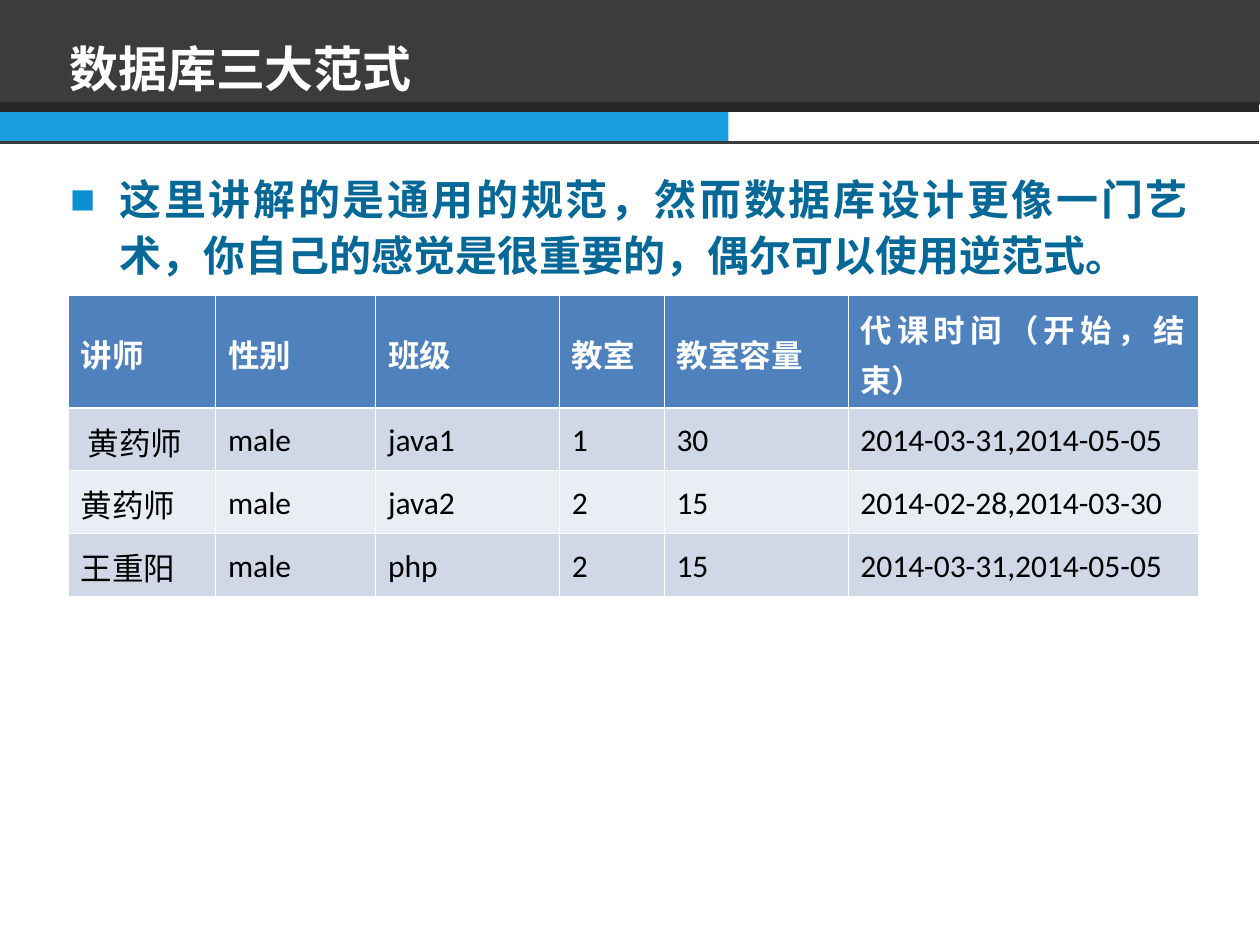
"""Build the slide on the three database normal forms."""
from lxml import etree
from pptx import Presentation
from pptx import util as u
from pptx.dml.color import RGBColor
from pptx.enum import shapes, text
from pptx.oxml import ns

WHITE = RGBColor(0xFF, 0xFF, 0xFF)
BLACK = RGBColor(0x00, 0x00, 0x00)
CHARCOAL = RGBColor(0x3C, 0x3C, 0x3C)
DARK = RGBColor(0x26, 0x26, 0x26)
BLUE = RGBColor(0x19, 0x9E, 0xE1)
BULLET = RGBColor(0x08, 0x90, 0xD0)
TEAL = RGBColor(0x05, 0x68, 0x96)
HEADER = RGBColor(0x4F, 0x81, 0xBD)
BANDS = (RGBColor(0xD0, 0xD8, 0xE8), RGBColor(0xE9, 0xED, 0xF4))
CJK = "Noto Sans CJK SC"
LATIN = "Calibri"
THIN, THICK = 0.45, 1.47

COLUMNS = (1.17, 1.27, 1.46, 0.83, 1.46, 2.78)
HEIGHTS = (0.76, 0.43, 0.43, 0.43)
ROWS = (
    ("讲师", "性别", "班级", "教室", "教室容量", "代课时间（开始，结束）"),
    (" 黄药师", "male", "java1", "1", "30", "2014-03-31,2014-05-05"),
    ("黄药师", "male", "java2", "2", "15", "2014-02-28,2014-03-30"),
    ("王重阳", "male", "php", "2", "15", "2014-03-31,2014-05-05"),
)


def child(parent, tag, **attrs):
    return etree.SubElement(parent, ns.qn(tag), attrs)


def inches(*lengths):
    return [u.Inches(length) for length in lengths]


def set_font(p, size, color, bold, latin=CJK):
    font = p.font
    font.size, font.bold, font.name = u.Pt(size), bold, latin
    font.color.rgb = color
    properties = p._p.pPr.find(ns.qn("a:defRPr"))
    properties.find(ns.qn("a:latin")).addnext(
        properties.makeelement(ns.qn("a:ea"), {"typeface": CJK}))


def set_spacing(p, align, line, before):
    p.alignment, p.line_spacing, p.space_before = align, line, u.Pt(before)
    p._p.pPr.set("hangingPunct", "0")


def add_bar(s, box, color):
    sp = s.shapes.add_shape(shapes.MSO_SHAPE.RECTANGLE, *inches(*box))
    sp.shadow.inherit = False
    sp.fill.solid()
    sp.fill.fore_color.rgb = color
    sp.line.fill.background()


def add_rule(s, y, color, width):
    line = s.shapes.add_connector(
        shapes.MSO_CONNECTOR.STRAIGHT, *inches(-0.01, y, 9.99, y))
    line.line.color.rgb, line.line.width = color, u.Pt(width)
    child(line._element.spPr, "a:effectLst")


def fill_placeholder(s, sp, box, content, anchor):
    sp.left, sp.top, sp.width, sp.height = inches(*box)
    s.shapes.element.append(sp.element)
    tf = sp.text_frame
    tf.text = content
    tf.word_wrap, tf.auto_size = True, text.MSO_AUTO_SIZE.NONE
    tf.vertical_anchor = anchor
    return tf.paragraphs[0]


def add_title(s, content):
    p = fill_placeholder(s, s.shapes.title, (0.45, 0.05, 9.07, 0.78),
                         content, text.MSO_ANCHOR.BOTTOM)
    set_spacing(p, text.PP_ALIGN.LEFT, 0.9, 0)
    set_font(p, 28, WHITE, True)


def add_bullet(s, content):
    p = fill_placeholder(s, s.placeholders[1], (0.46, 1.29, 9.07, 5.86),
                         content, text.MSO_ANCHOR.TOP)
    set_spacing(p, text.PP_ALIGN.JUSTIFY, 1.1, 6)
    properties = p._p.pPr
    indent = u.Inches(0.39)
    properties.set("marL", str(indent))
    properties.set("indent", str(-indent))
    child(child(properties, "a:buClr"), "a:srgbClr", val=str(BULLET))
    child(properties, "a:buSzPct", val="60000")
    child(properties, "a:buFont", typeface=CJK)
    child(properties, "a:buChar", char="■")
    set_font(p, 24, TEAL, True)


def set_borders(cell, row):
    widths = {"L": THIN, "R": THIN,
              "T": THICK if row == 1 else THIN,
              "B": THICK if row == 0 else THIN}
    properties = cell._tc.get_or_add_tcPr()
    for side, width in widths.items():
        line = child(properties, f"a:ln{side}", w=str(u.Pt(width)))
        child(child(line, "a:solidFill"), "a:srgbClr", val=str(WHITE))


def fill_cell(cell, content, row):
    set_borders(cell, row)
    cell.fill.solid()
    cell.fill.fore_color.rgb = BANDS[(row - 1) % 2] if row else HEADER
    cell.vertical_anchor = text.MSO_ANCHOR.MIDDLE
    cell.text = content
    p = cell.text_frame.paragraphs[0]
    set_spacing(p, text.PP_ALIGN.JUSTIFY, 1.1, 6)
    set_font(p, 18, BLACK if row else WHITE, row == 0, LATIN)


def add_schedule(s):
    box = inches(0.54, 2.34, sum(COLUMNS), sum(HEIGHTS))
    table = s.shapes.add_table(len(ROWS), len(COLUMNS), *box).table
    for column, width in zip(table.columns, COLUMNS):
        column.width = u.Inches(width)
    for i, (height, values) in enumerate(zip(HEIGHTS, ROWS)):
        table.rows[i].height = u.Inches(height)
        for j, value in enumerate(values):
            fill_cell(table.cell(i, j), value, i)


def main():
    prs = Presentation()
    prs.slide_width, prs.slide_height = inches(10, 7.5)
    s = prs.slides.add_slide(prs.slide_layouts[1])
    add_bar(s, (-0.01, -0.01, 10.01, 0.84), CHARCOAL)
    add_bar(s, (-0.01, 0.85, 5.79, 0.29), BLUE)
    add_rule(s, 1.13, CHARCOAL, 1.5)
    add_rule(s, 0.85, DARK, 5.5)
    add_title(s, "数据库三大范式")
    add_bullet(s, "这里讲解的是通用的规范，然而数据库设计更像一门艺术，"
                  "你自己的感觉是很重要的，偶尔可以使用逆范式。")
    add_schedule(s)
    prs.save("out.pptx")


if __name__ == "__main__":
    main()
